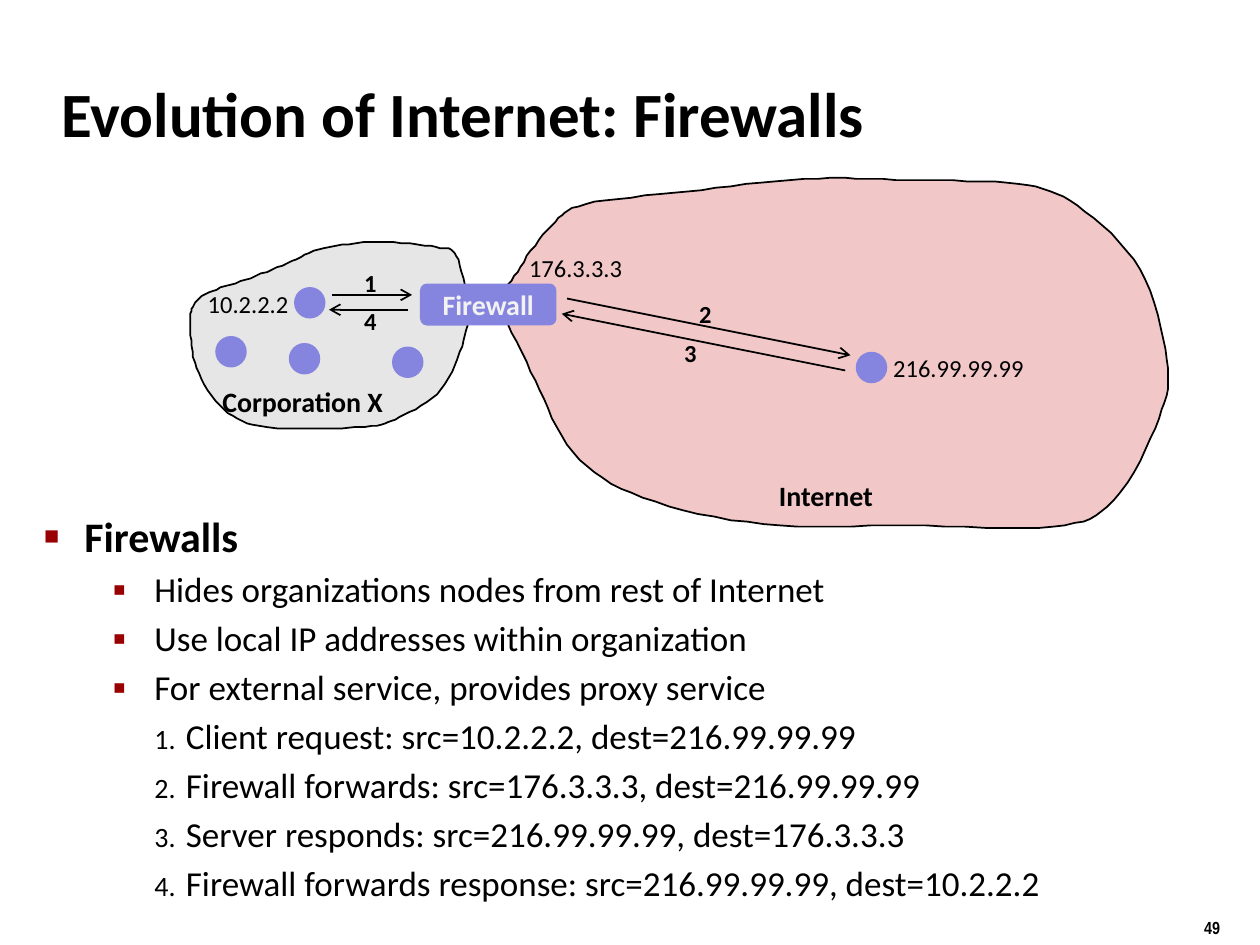
from pptx import Presentation
from pptx.util import Pt
from pptx.dml.color import RGBColor
from pptx.enum.shapes import MSO_CONNECTOR, MSO_SHAPE
from pptx.enum.text import MSO_ANCHOR, MSO_AUTO_SIZE, PP_ALIGN
from lxml.etree import SubElement
from pptx.oxml.ns import qn

BLACK = RGBColor(0x00, 0x00, 0x00)
OFF_WHITE = RGBColor(0xF2, 0xF2, 0xF2)
GRAY = RGBColor(0xE6, 0xE6, 0xE6)
PINK = RGBColor(0xF1, 0xC7, 0xC7)
VIOLET = RGBColor(0x85, 0x85, 0xE0)
DARK_RED = RGBColor(0x99, 0x00, 0x00)

HUNDREDTH_INCH = Pt(0.72)
CURVE_STEPS = 8
NODE_SIZE = 18
LABEL_INSET = 7.2


def style_font(font, size, bold=False, color=BLACK, name="Calibri"):
    font.name = name
    font.size = Pt(size)
    font.bold = bold
    font.color.rgb = color


def add_label(text, left, top, width, height, size, bold=False, name="Calibri"):
    label = slide.shapes.add_textbox(Pt(left), Pt(top), Pt(width), Pt(height))
    label.text_frame.text = text
    label.text_frame.word_wrap = False
    label.text_frame.auto_size = MSO_AUTO_SIZE.SHAPE_TO_FIT_TEXT
    style_font(label.text_frame.paragraphs[0].runs[0].font, size, bold, name=name)


prs = Presentation()
prs.slide_width, prs.slide_height = Pt(720), Pt(540)
slide = prs.slides.add_slide(prs.slide_layouts[1])

title = slide.shapes.title
title.left, title.top, title.width, title.height = Pt(28), Pt(34), Pt(597.6), Pt(60)
title.text_frame.text = "Evolution of Internet: Firewalls"
title.text_frame.vertical_anchor = MSO_ANCHOR.MIDDLE
title.text_frame.auto_size = MSO_AUTO_SIZE.NONE
heading = title.text_frame.paragraphs[0]
heading.alignment = PP_ALIGN.LEFT
style_font(heading.runs[0].font, 36, True)

body = slide.placeholders[1]
body.left, body.top, body.width, body.height = Pt(18), Pt(288), Pt(654), Pt(240)
body.text_frame.auto_size = MSO_AUTO_SIZE.NONE
items = [
    (0, "Firewalls"),
    (1, "Hides organizations nodes from rest of Internet"),
    (1, "Use local IP addresses within organization"),
    (1, "For external service, provides proxy service"),
    (2, "Client request: src=10.2.2.2, dest=216.99.99.99"),
    (2, "Firewall forwards: src=176.3.3.3, dest=216.99.99.99"),
    (2, "Server responds: src=216.99.99.99, dest=176.3.3.3"),
    (2, "Firewall forwards response: src=216.99.99.99, dest=10.2.2.2"),
]
levels = [
    (23, -23, 24, DARK_RED, 60, "buChar", {"char": "■"}),
    (63, -23.8, 20, DARK_RED, 110, "buChar", {"char": "▪"}),
    (81, -18, 20, BLACK, 80, "buAutoNum", {"type": "arabicPeriod"}),
]
body.text_frame.text = "\n".join(text for _, text in items)
for paragraph, (level, _) in zip(body.text_frame.paragraphs, items):
    margin, indent, size, bullet_color, percent, bullet, settings = levels[level]
    paragraph.level = level
    properties = paragraph._p.get_or_add_pPr()
    properties.set("marL", str(Pt(margin)))
    properties.set("indent", str(Pt(indent)))
    color = SubElement(properties, qn("a:buClr"))
    SubElement(color, qn("a:srgbClr"), val=str(bullet_color))
    SubElement(properties, qn("a:buSzPct"), val=str(percent * 1000))
    SubElement(properties, qn("a:" + bullet), settings)
    paragraph.space_before = Pt(4 if level else 0)
    style_font(paragraph.runs[0].font, size, level == 0)

corporation_bends = [
    (151, 259), (154, 242), (166, 232), (195, 222), (228, 209), (257, 197),
    (300, 192), (346, 196), (362, 203), (371, 241), (368, 270), (350, 309),
    (317, 331), (289, 339), (212, 339), (178, 325), (156, 292),
]
internet_bends = [
    (400, 244), (413, 212), (438, 179), (465, 162), (546, 152), (638, 142),
    (722, 143), (808, 146), (855, 163), (905, 214), (926, 285), (920, 332),
    (884, 397), (836, 418), (720, 417), (606, 416), (510, 395), (455, 359),
    (425, 302),
]
for bends, fill in [(corporation_bends, GRAY), (internet_bends, PINK)]:
    outline = []
    for index, start in enumerate(bends):
        before = bends[index - 1]
        end = bends[(index + 1) % len(bends)]
        after = bends[(index + 2) % len(bends)]
        for step in range(CURVE_STEPS):
            t = step / CURVE_STEPS
            outline.append([
                b + t * (c - a) / 2
                + t**2 * (2 * a - 5 * b + 4 * c - d) / 2
                + t**3 * (3 * b - a - 3 * c + d) / 2
                for a, b, c, d in zip(before, start, end, after)
            ])
    builder = slide.shapes.build_freeform(*outline[0], scale=HUNDREDTH_INCH)
    builder.add_line_segments(outline[1:], close=True)
    region = builder.convert_to_shape()
    region.shadow.inherit = False
    region.fill.solid()
    region.fill.fore_color.rgb = fill
    region.line.color.rgb = BLACK
    region.line.width = Pt(1)

nodes = [(123, 192), (165, 196), (168, 164), (224, 198), (489, 201)]
blocks = [(MSO_SHAPE.OVAL, left, top, NODE_SIZE, NODE_SIZE) for left, top in nodes]
blocks.append((MSO_SHAPE.ROUNDED_RECTANGLE, 240, 162, 78, 24))
for kind, left, top, width, height in blocks:
    block = slide.shapes.add_shape(kind, Pt(left), Pt(top), Pt(width), Pt(height))
    block.shadow.inherit = False
    block.fill.solid()
    block.fill.fore_color.rgb = VIOLET
    block.line.fill.background()
firewall = block
firewall.text_frame.text = "Firewall"
firewall.text_frame.vertical_anchor = MSO_ANCHOR.MIDDLE
firewall.text_frame.paragraphs[0].alignment = PP_ALIGN.CENTER
style_font(firewall.text_frame.paragraphs[0].runs[0].font, 16, True, OFF_WHITE)

messages = [
    ("1", (190, 168.5), (235.5, 168.5), (201, 149.5)),
    ("2", (324, 170.6), (486, 203), (392.4, 167.5)),
    ("3", (483, 211.7), (321, 179.3), (383.8, 189.7)),
    ("4", (233.3, 177), (188, 177), (201, 171.5)),
]
for number, sender, receiver, label_corner in messages:
    arrow = slide.shapes.add_connector(MSO_CONNECTOR.STRAIGHT, *map(Pt, sender + receiver))
    arrow.line.color.rgb = BLACK
    arrow.line.width = Pt(1)
    SubElement(arrow.line._get_or_add_ln(), qn("a:tailEnd"), type="arrow")
    SubElement(arrow._element.spPr, qn("a:effectLst"))
    add_label(number, *label_corner, 22.3, 24, 14, True)

for network, left, top, width in [("Corporation X", 120, 216, 124.6), ("Internet", 438, 270, 81.4)]:
    add_label(network, left, top, width, 26, 16, True)

addresses = [
    ("10.2.2.2", 111.6, 161.8, 51),
    ("176.3.3.3", 295.2, 141, 59),
    ("216.99.99.99", 503.3, 198, 83.6),
]
for address, left, top, text_width in addresses:
    add_label(address, left, top, text_width + 2 * LABEL_INSET, 24, 14)

add_label("49", 681, 520.6, 53.3, 18.7, 10, True, "Arial Narrow")

prs.save("out.pptx")
